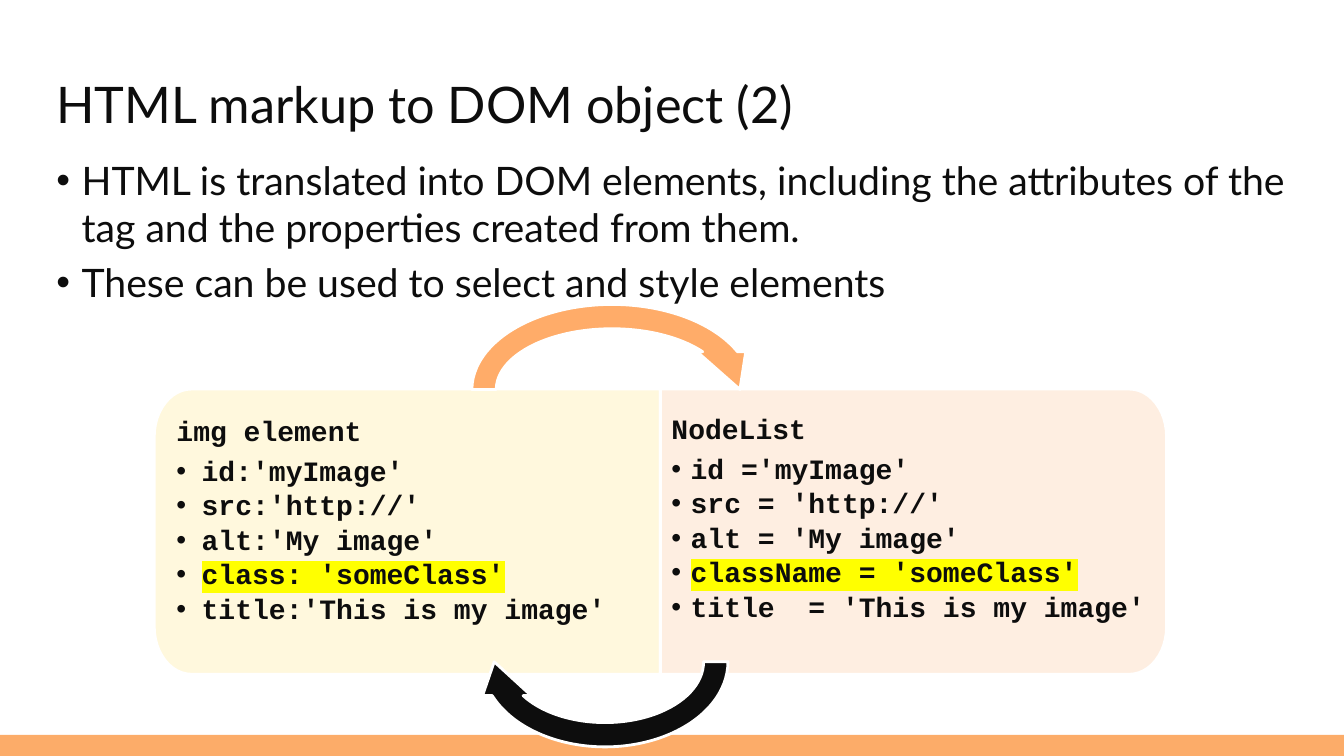
from dataclasses import dataclass
from math import cos, pi, sin

from lxml import etree
from pptx import Presentation
from pptx.dml.color import RGBColor
from pptx.enum.shapes import MSO_SHAPE
from pptx.enum.text import MSO_ANCHOR, MSO_AUTO_SIZE, PP_ALIGN
from pptx.oxml.ns import qn
from pptx.util import Inches, Pt

LEFT = PP_ALIGN.LEFT
TOP = MSO_ANCHOR.TOP
NO_FIT = MSO_AUTO_SIZE.NONE
RECT = MSO_SHAPE.RECTANGLE
ARROW = MSO_SHAPE.CIRCULAR_ARROW


@dataclass(frozen=True)
class Theme:
    ink: str = "0D0D0D"
    white: str = "FFFFFF"
    bar: str = "FCAC69"
    arrow: str = "FFAC69"
    cream: str = "FFF8DD"
    peach: str = "FEEEE1"
    marker: str = "FFFF00"
    sans: str = "Lato"
    mono: str = "Courier New"
    title: int = 36
    body: int = 28
    code: int = 20


def add_bullet(p, indent):
    pPr = p._p.get_or_add_pPr()
    pPr.set("marL", str(Inches(indent)))
    pPr.set("indent", str(-Inches(indent)))
    etree.SubElement(pPr, qn("a:buFont")).set("typeface", "Arial")
    etree.SubElement(pPr, qn("a:buChar")).set("char", "•")


def highlight(r, color):
    mark = etree.Element(qn("a:highlight"))
    etree.SubElement(mark, qn("a:srgbClr")).set("val", color)
    r._r.rPr.find(qn("a:latin")).addprevious(mark)


def write(p, text, *, font, size, color, bold=False, indent=0, level=0,
          line=1.0, before=0, after=0, marker=None):
    p.alignment = LEFT
    p.level = level
    p.line_spacing = line
    p.space_before = Pt(before)
    p.space_after = Pt(after)
    if indent:
        add_bullet(p, indent)
    r = p.add_run()
    r.text = text
    r.font.name = font
    r.font.size = Pt(size)
    r.font.bold = bold
    r.font.color.rgb = RGBColor.from_string(color)
    if marker:
        highlight(r, marker)


class Deck:
    def __init__(self, theme):
        self.theme = theme
        self.prs = Presentation()
        self.prs.slide_width = Inches(13.33)
        self.prs.slide_height = Inches(7.5)
        self.s = self.prs.slides.add_slide(self.prs.slide_layouts[5])

    def frame(self, sp, insets):
        tf = sp.text_frame
        tf.word_wrap = True
        tf.auto_size = NO_FIT
        tf.vertical_anchor = TOP
        (tf.margin_left, tf.margin_top,
         tf.margin_right, tf.margin_bottom) = map(Inches, insets)
        return tf

    def paint(self, sp, fill, outlined):
        sp.shadow.inherit = False
        sp.fill.solid()
        sp.fill.fore_color.rgb = RGBColor.from_string(fill)
        if outlined:
            sp.line.color.rgb = RGBColor.from_string(self.theme.white)
            sp.line.width = Pt(2)
        else:
            sp.line.fill.background()

    def shape(self, kind, box, fill, outlined=False):
        sp = self.s.shapes.add_shape(kind, *map(Inches, box))
        self.paint(sp, fill, outlined)
        return sp

    def title(self, text, box):
        sp = self.s.shapes.title
        sp.left, sp.top, sp.width, sp.height = map(Inches, box)
        tf = self.frame(sp, (0, 0.05, 0, 0.05))
        write(tf.paragraphs[0], text, font=self.theme.sans,
              size=self.theme.title, color=self.theme.ink, line=0.9)

    def bullets(self, items, box):
        sp = self.s.shapes.add_textbox(*map(Inches, box))
        tf = self.frame(sp, (0, 0.05, 0, 0.05))
        for i, text in enumerate(items):
            p = tf.add_paragraph() if i else tf.paragraphs[0]
            write(p, text, font=self.theme.sans, size=self.theme.body,
                  color=self.theme.ink, indent=0.25, before=6 if i else 0)

    def panel(self, inner, outer, fill, heading, items, marked, insets, indent):
        top, bottom, rx, ry, steps = 3.86, 6.69, 0.37, 0.47, 12
        side = 1 if outer > inner else -1
        angles = [pi / 2 * i / steps for i in range(steps + 1)]
        cx = outer - side * rx
        upper = [(cx + side * rx * sin(a), top + ry - ry * cos(a)) for a in angles]
        lower = [(x, top + bottom - y) for x, y in reversed(upper)]
        points = [(Inches(x), Inches(y))
                  for x, y in [(inner, top), *upper, *lower, (inner, bottom)]]
        fb = self.s.shapes.build_freeform(*points[0])
        fb.add_line_segments(points[1:], close=True)
        sp = fb.convert_to_shape()
        self.paint(sp, fill, outlined=True)
        tf = self.frame(sp, insets)
        style = dict(font=self.theme.mono, size=self.theme.code,
                     color=self.theme.ink, bold=True, line=0.9)
        write(tf.paragraphs[0], heading, after=7, **style)
        for text in items:
            write(tf.add_paragraph(), text, level=1, indent=indent, after=3,
                  marker=self.theme.marker if text == marked else None, **style)

    def arrow(self, box, fill, rotation=0):
        sp = self.shape(ARROW, box, fill, outlined=True)
        for i, value in enumerate((0.125, 11.423, 204.577, 108, 0.125)):
            sp.adjustments[i] = value
        sp.rotation = rotation


def main():
    theme = Theme()
    deck = Deck(theme)
    deck.shape(RECT, (0, 7.29, 13.33, 0.21), theme.bar)
    deck.bullets([
        "HTML is translated into DOM elements, including the attributes of the "
        "tag and the properties created from them.",
        "These can be used to select and style elements",
    ], (0.56, 1.5, 12.21, 4.73))
    deck.title("HTML markup to DOM object (2)", (0.56, 0.74, 12.21, 0.79))
    deck.panel(6.55, 1.53, theme.cream, "img element", [
        "id:'myImage'",
        "src:'http://'",
        "alt:'My image'",
        "class: 'someClass'",
        "title:'This is my image'",
    ], "class: 'someClass'", (0.22, 0.28, 0.12, 0.28), 0.25)
    deck.panel(6.55, 11.57, theme.peach, "NodeList", [
        "id ='myImage'",
        "src = 'http://'",
        "alt = 'My image'",
        "className = 'someClass'",
        "title  = 'This is my image'",
    ], "className = 'someClass'", (0.11, 0.26, 0.15, 0.26), 0.19)
    deck.arrow((4.56, 2.9, 3.02, 1.93), theme.arrow)
    deck.arrow((4.66, 5.6, 2.68, 1.93), theme.ink, rotation=180)
    deck.prs.save("out.pptx")


if __name__ == "__main__":
    main()
